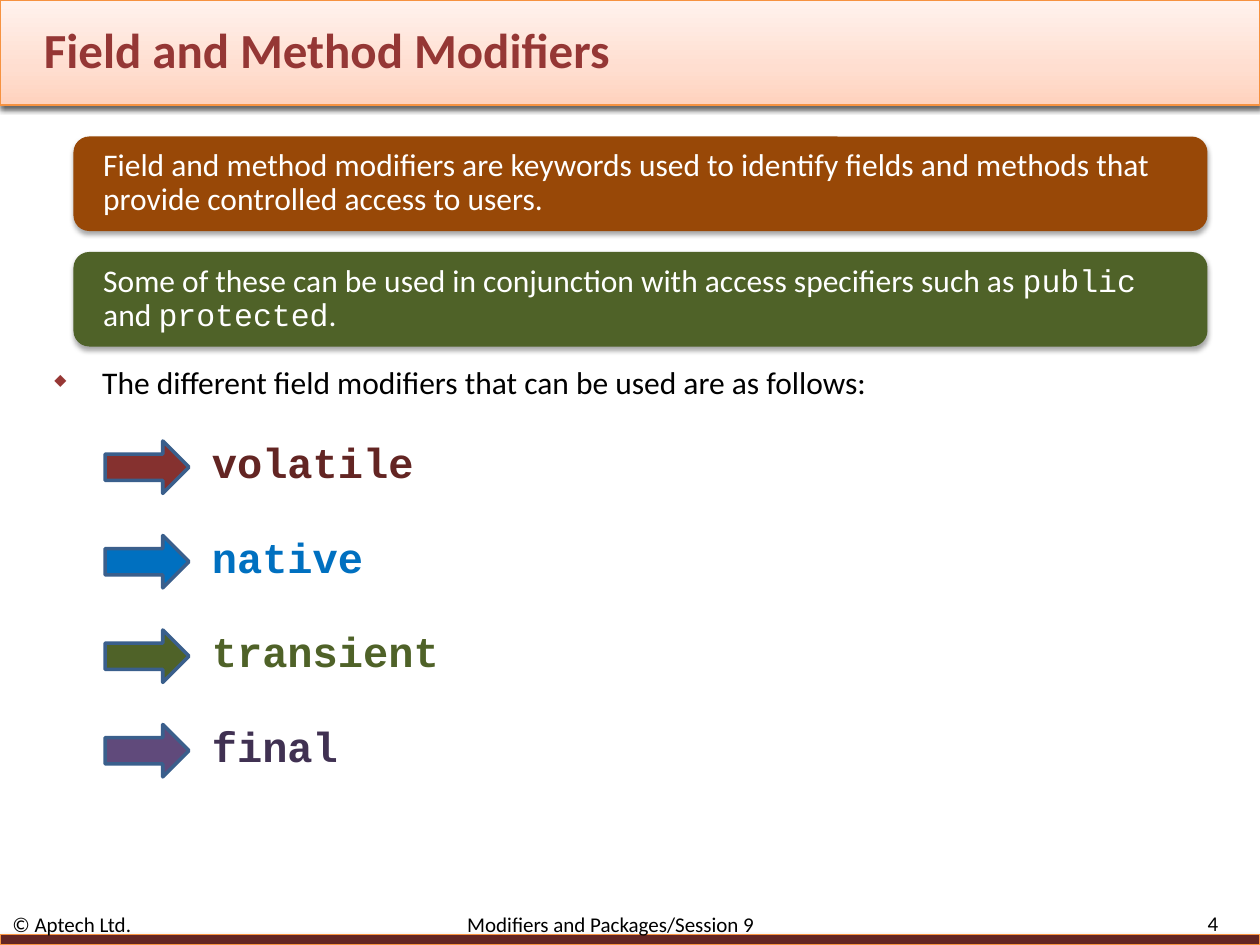
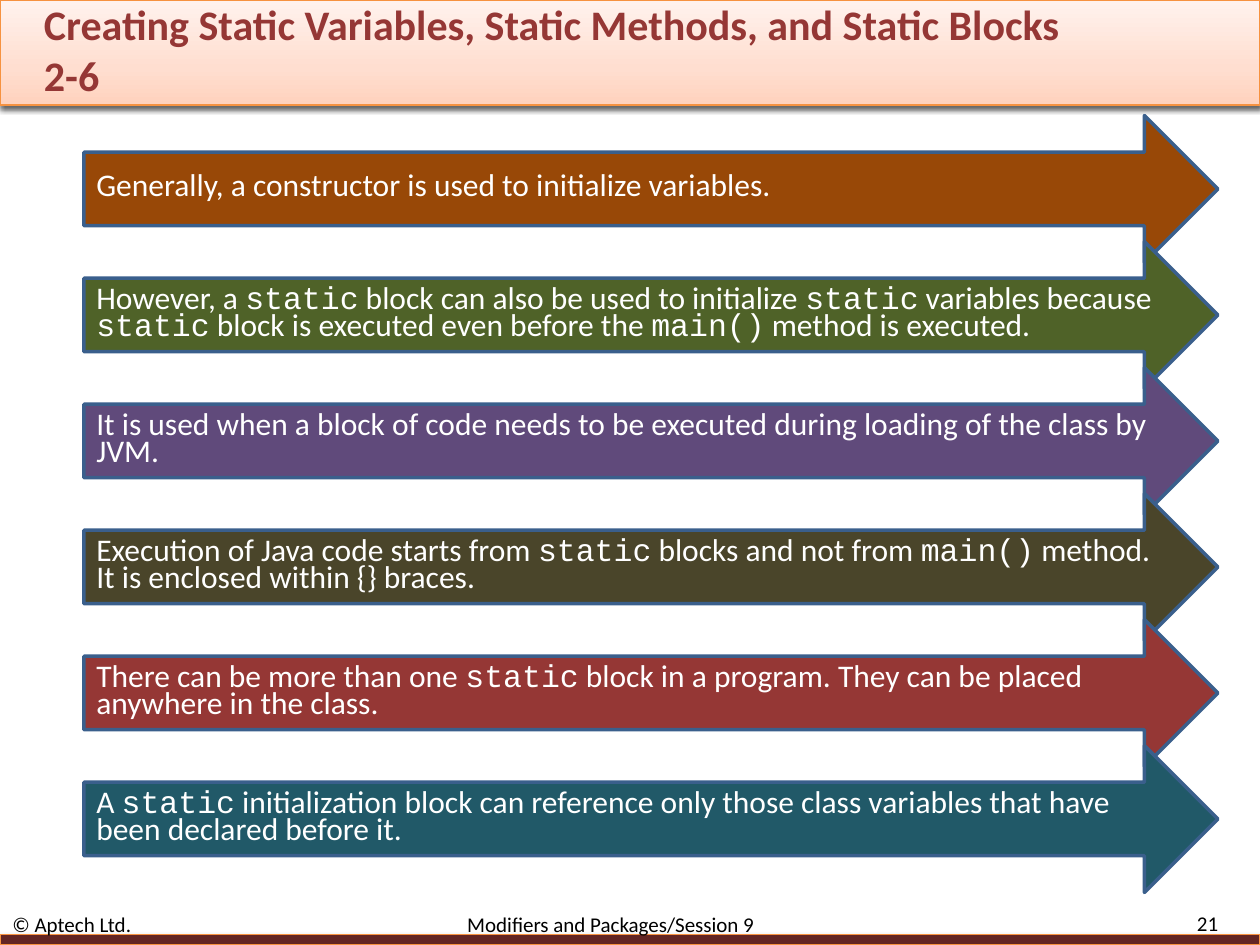
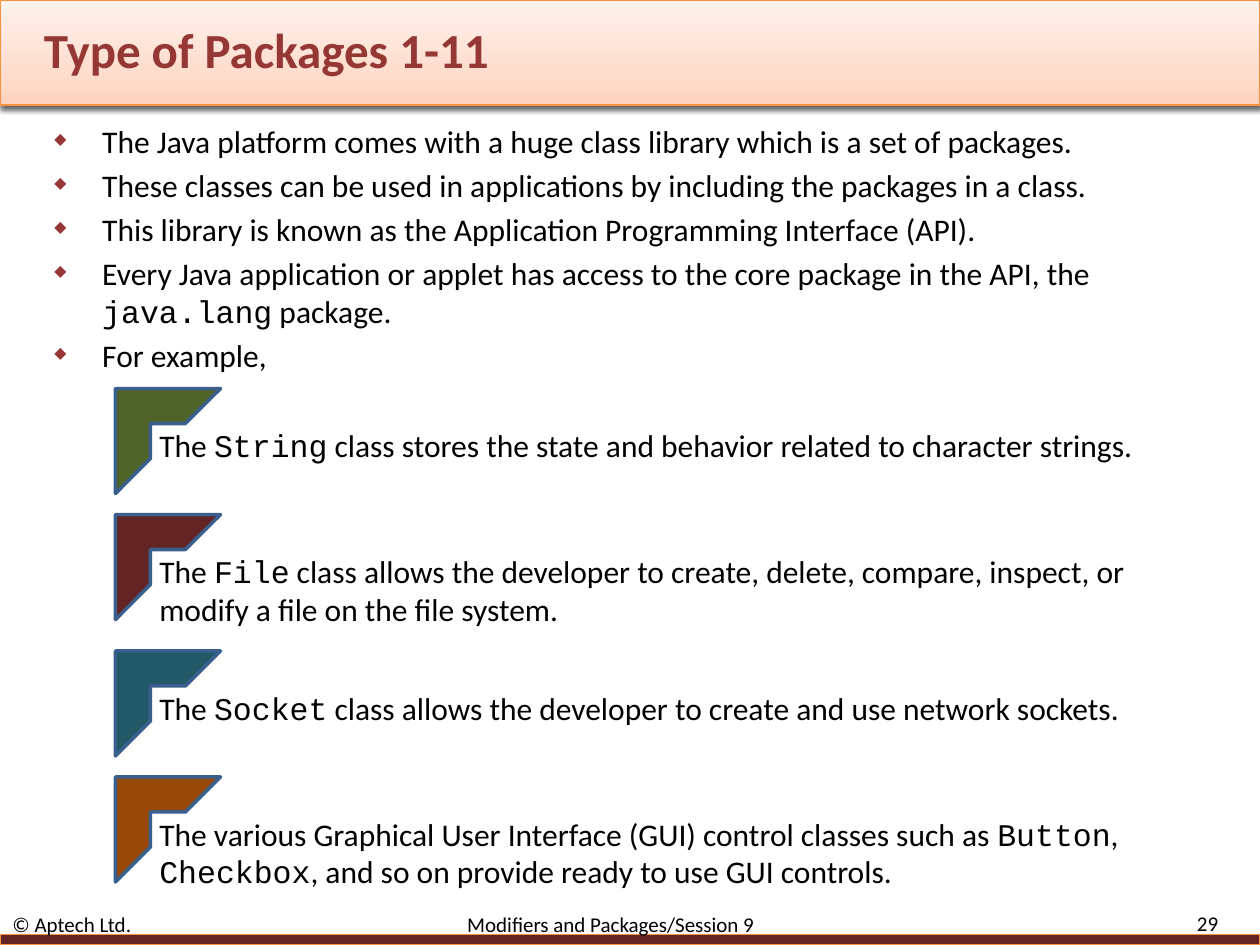
from lxml import etree
from pptx import Presentation, util as u
from pptx.dml.color import RGBColor
from pptx.enum import shapes, text
from pptx.oxml.ns import qn

# The slide is a grid of 120 columns by 90 rows, each cell 1/12 inch.
CELL = u.Inches(1) // 12
COLUMNS, ROWS = 120, 90

BODY_FONT, CODE_FONT = "Calibri", "Courier New"
BLACK, WHITE = "000000", "FFFFFF"
TITLE_RED, MAROON = "953735", "632523"
BROWN, GREEN, PURPLE = "984807", "4F6228", "604A7B"
OLIVE, TEAL, BLUE = "4A452A", "215968", "0070C0"
ARROW_RED, DARK_PURPLE = "85312F", "403152"
BULLET_RED, EDGE_ORANGE, EDGE_BLUE = "973735", "F69240", "3A5F8C"
BAND_STOPS = [(0, "FFD2BD"), (35, "FFDED0"), (100, "FFF2ED")]
FOOTER = "© Aptech Ltd.\tModifiers and Packages/Session 9"


def color(value):
    return RGBColor.from_string(value)


def grid(*cells):
    return [round(cell * CELL) for cell in cells]


def add_element(parent, tag, **attributes):
    child = etree.SubElement(parent, qn(tag))
    for name, value in attributes.items():
        child.set(name, str(value))
    return child


def add_shadow(shape, percent):
    effects = shape._element.spPr.find(qn("a:effectLst"))
    outer = add_element(effects, "a:outerShdw", blurRad=u.Pt(3.1), dist=u.Pt(1.8),
                        dir=90 * 60000, rotWithShape=0)
    tint = add_element(outer, "a:srgbClr", val=BLACK)
    add_element(tint, "a:alpha", val=percent * 1000)


def add_figure(page, kind, box, fill, line=None, width=2):
    shape = page.shapes.add_shape(kind, *grid(*box))
    shape.shadow.inherit = False
    shape.fill.solid()
    shape.fill.fore_color.rgb = color(fill)
    if line:
        shape.line.color.rgb = color(line)
        shape.line.width = u.Pt(width)
    else:
        shape.line.fill.background()
    return shape


def fill_paragraph(para, words, size=18, ink=BLACK, bold=False):
    """Write words as runs; parts between backticks are set in the code font."""
    for index, part in enumerate(words.split("`")):
        if not part:
            continue
        span = para.add_run()
        span.text = part
        span.font.name = CODE_FONT if index % 2 else BODY_FONT
        span.font.size = u.Pt(size)
        span.font.bold = bold
        span.font.color.rgb = color(ink)


def add_text(page, box, words, anchor=text.MSO_ANCHOR.TOP, **style):
    frame = page.shapes.add_textbox(*grid(*box)).text_frame
    frame.word_wrap = True
    frame.vertical_anchor = anchor
    fill_paragraph(frame.paragraphs[0], words, **style)
    return frame.paragraphs[0]


def write_inside(shape, words, line_spacing):
    frame = shape.text_frame
    frame.word_wrap = True
    frame.vertical_anchor = text.MSO_ANCHOR.MIDDLE
    para = frame.paragraphs[0]
    para.alignment = text.PP_ALIGN.LEFT
    para.line_spacing = line_spacing
    fill_paragraph(para, words, ink=WHITE)


def add_title_band(page, box, title, size):
    left, top, columns, rows = box
    band = add_figure(page, shapes.MSO_SHAPE.RECTANGLE, box, WHITE, EDGE_ORANGE, 0.75)
    band.fill.gradient()
    band.fill.gradient_angle = 90
    stops = band._element.spPr.find(".//" + qn("a:gsLst"))
    for stop in list(stops):
        stops.remove(stop)
    for position, tint in BAND_STOPS:
        stop = add_element(stops, "a:gs", pos=position * 1000)
        add_element(stop, "a:srgbClr", val=tint)
    add_shadow(band, 60)
    para = add_text(page, (left + 3, top + 2, columns - 20, rows - 4.6), title,
                    text.MSO_ANCHOR.MIDDLE, size=size, ink=TITLE_RED, bold=True)
    for span in para.runs:
        properties = span.font._element
        outline = add_element(properties, "a:ln", w=u.Pt(0.75))
        add_element(add_element(outline, "a:solidFill"), "a:srgbClr", val=MAROON)
        properties.insert(0, outline)


def add_footer(page, box, number):
    left, top, columns, rows = box
    strip = add_figure(page, shapes.MSO_SHAPE.RECTANGLE,
                       (left, top + rows - 1, columns, 1), MAROON, EDGE_ORANGE, 0.75)
    add_shadow(strip, 35)
    middle = text.MSO_ANCHOR.MIDDLE
    para = add_text(page, (left, top, columns - 14, 2), FOOTER, middle, size=12)
    tabs = add_element(para._p.get_or_add_pPr(), "a:tabLst")
    add_element(tabs, "a:tab", pos=u.Inches(3.61), algn="l")
    para = add_text(page, (left + columns - 13, top - 0.2, 10.2, 2.2),
                    str(number), middle, size=12)
    para.alignment = text.PP_ALIGN.RIGHT


def add_bullets(page, box, items):
    frame = page.shapes.add_textbox(*grid(*box)).text_frame
    frame.word_wrap = True
    for index, words in enumerate(items):
        para = frame.add_paragraph() if index else frame.paragraphs[0]
        properties = para._p.get_or_add_pPr()
        properties.set("marL", str(u.Inches(0.38)))
        properties.set("indent", str(-u.Inches(0.38)))
        add_element(add_element(properties, "a:buClr"), "a:srgbClr", val=BULLET_RED)
        add_element(properties, "a:buSzPct", val=50000)
        add_element(properties, "a:buChar", char="◆")
        if index:
            para.space_before = u.Pt(3.6)
        fill_paragraph(para, words)


def add_panels(page, box, panels):
    left, top, columns, rows = box
    for index, (fill, words) in enumerate(panels):
        panel = add_figure(page, shapes.MSO_SHAPE.ROUNDED_RECTANGLE,
                           (left, top + index * 11, columns, rows), fill)
        add_shadow(panel, 35)
        frame = panel.text_frame
        frame.margin_left = frame.margin_right = u.Inches(0.2)
        frame.margin_top = frame.margin_bottom = 0
        write_inside(panel, words, 0.9)


def add_keywords(page, box, keywords):
    """Place a small arrow and a code keyword on each row of the box."""
    left, top, columns, rows = box
    pitch = rows / len(keywords)
    for index, (fill, ink, word) in enumerate(keywords):
        row = top + index * pitch
        add_figure(page, shapes.MSO_SHAPE.RIGHT_ARROW, (left, row, 8, 5), fill, EDGE_BLUE)
        add_text(page, (left + 9, row - 1, columns - 9, 6), f"`{word}`",
                 size=24, ink=ink, bold=True)


def add_wide_arrows(page, box, arrows):
    """Stack arrows whose heads overlap by two rows."""
    left, top, columns, rows = box
    pitch = (rows - 2) / len(arrows)
    for index, (fill, words) in enumerate(arrows):
        arrow = add_figure(page, shapes.MSO_SHAPE.RIGHT_ARROW,
                           (left, top + index * pitch, columns, pitch + 2), fill, EDGE_BLUE)
        write_inside(arrow, words, 0.7)


def add_framed_notes(page, box, notes):
    left, top, columns, rows = box
    for offset, fill, words in notes:
        row = top + offset
        add_figure(page, shapes.MSO_SHAPE.HALF_FRAME, (left, row, 10, 10), fill, EDGE_BLUE)
        add_text(page, (left + 3, row + 3, columns - 3, 9), words)


def add_page(deck, title, number, size=28):
    page = deck.slides.add_slide(deck.slide_layouts[6])
    add_title_band(page, (0, 0, COLUMNS, 10), title, size)
    add_footer(page, (0, ROWS - 3, COLUMNS, 3), number)
    return page


def build_modifiers(deck):
    page = add_page(deck, "Field and Method Modifiers", 4)
    add_panels(page, (7, 13, 108, 9), [
        (BROWN, "Field and method modifiers are keywords used to identify fields and "
                "methods that provide controlled access to users."),
        (GREEN, "Some of these can be used in conjunction with access specifiers "
                "such as `public` and `protected`."),
    ])
    add_bullets(page, (4, 34, 113, 5),
                ["The different field modifiers that can be used are as follows:"])
    add_keywords(page, (10, 42, 99, 36), [
        (ARROW_RED, MAROON, "volatile"),
        (BLUE, BLUE, "native"),
        (GREEN, GREEN, "transient"),
        (PURPLE, DARK_PURPLE, "final"),
    ])


def build_static_blocks(deck):
    page = add_page(deck, "Creating Static Variables, Static Methods, and Static Blocks 2-6",
                    21, size=24)
    add_wide_arrows(page, (8, 11, 108, 74), [
        (BROWN, "Generally, a constructor is used to initialize variables."),
        (GREEN, "However, a `static` block can also be used to initialize `static` variables "
                "because `static` block is executed even before the `main()` method is "
                "executed."),
        (PURPLE, "It is used when a block of code needs to be executed during loading of "
                 "the class by JVM."),
        (OLIVE, "Execution of Java code starts from `static` blocks and not from `main()` "
                "method. It is enclosed within {} braces."),
        (TITLE_RED, "There can be more than one `static` block in a program. They can be "
                    "placed anywhere in the class."),
        (TEAL, "A `static` initialization block can reference only those class variables "
               "that have been declared before it."),
    ])


def build_packages(deck):
    page = add_page(deck, "Type of Packages 1-11", 29)
    add_bullets(page, (4, 11, 113, 25), [
        "The Java platform comes with a huge class library which is a set of packages.",
        "These classes can be used in applications by including the packages in a class.",
        "This library is known as the Application Programming Interface (API).",
        "Every Java application or applet has access to the core package in the API, the "
        "`java.lang` package.",
        "For example,",
    ])
    add_framed_notes(page, (11, 37, 100, 49), [
        (0, GREEN, "The `String` class stores the state and behavior related to character "
                   "strings."),
        (12, MAROON, "The `File` class allows the developer to create, delete, compare, "
                     "inspect, or modify a file on the file system."),
        (25, TEAL, "The `Socket` class allows the developer to create and use network "
                   "sockets."),
        (37, BROWN, "The various Graphical User Interface (GUI) control classes such as "
                    "`Button`, `Checkbox`, and so on provide ready to use GUI controls."),
    ])


def main():
    deck = Presentation()
    deck.slide_width, deck.slide_height = grid(COLUMNS, ROWS)
    build_modifiers(deck)
    build_static_blocks(deck)
    build_packages(deck)
    deck.save("out.pptx")


if __name__ == "__main__":
    main()
